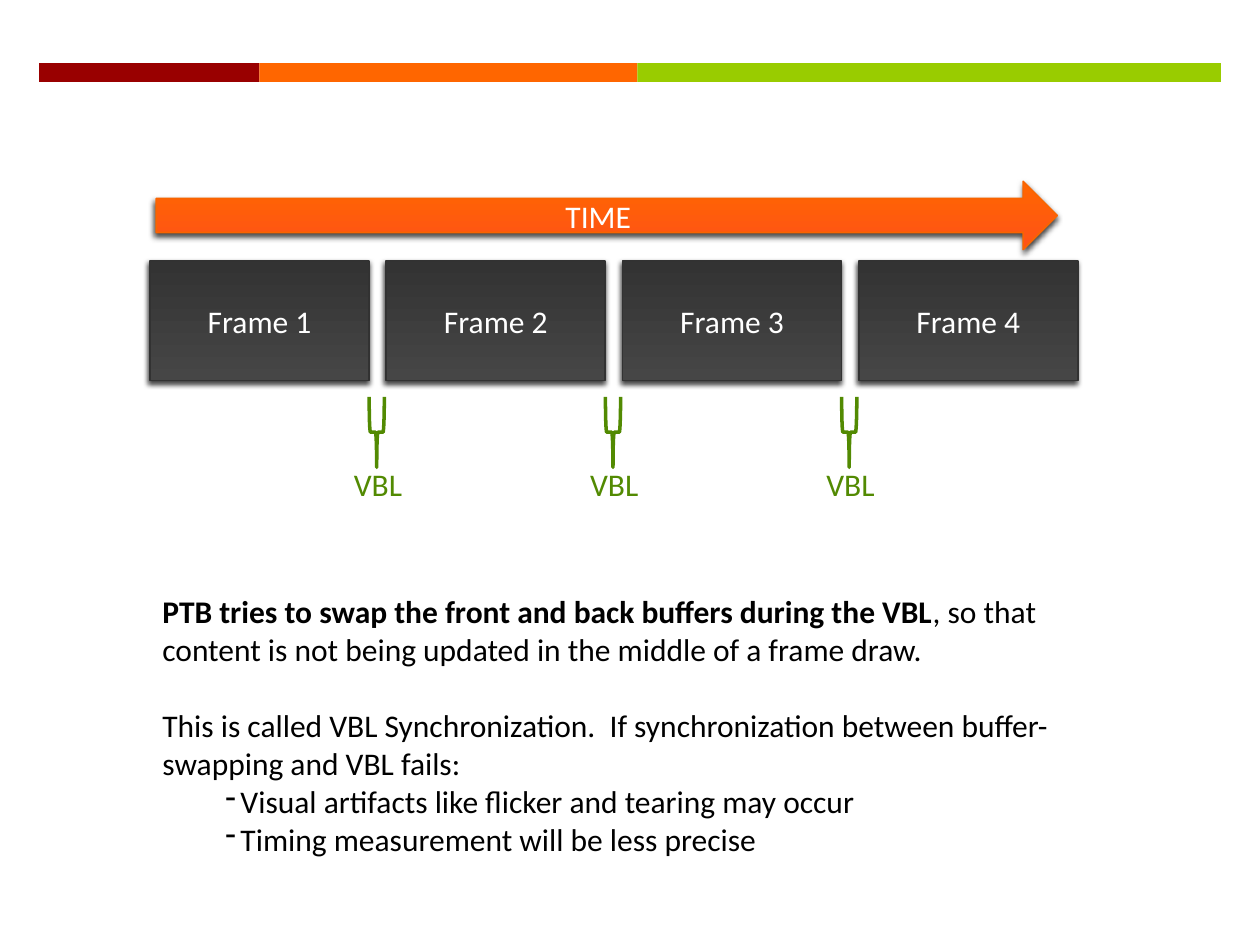
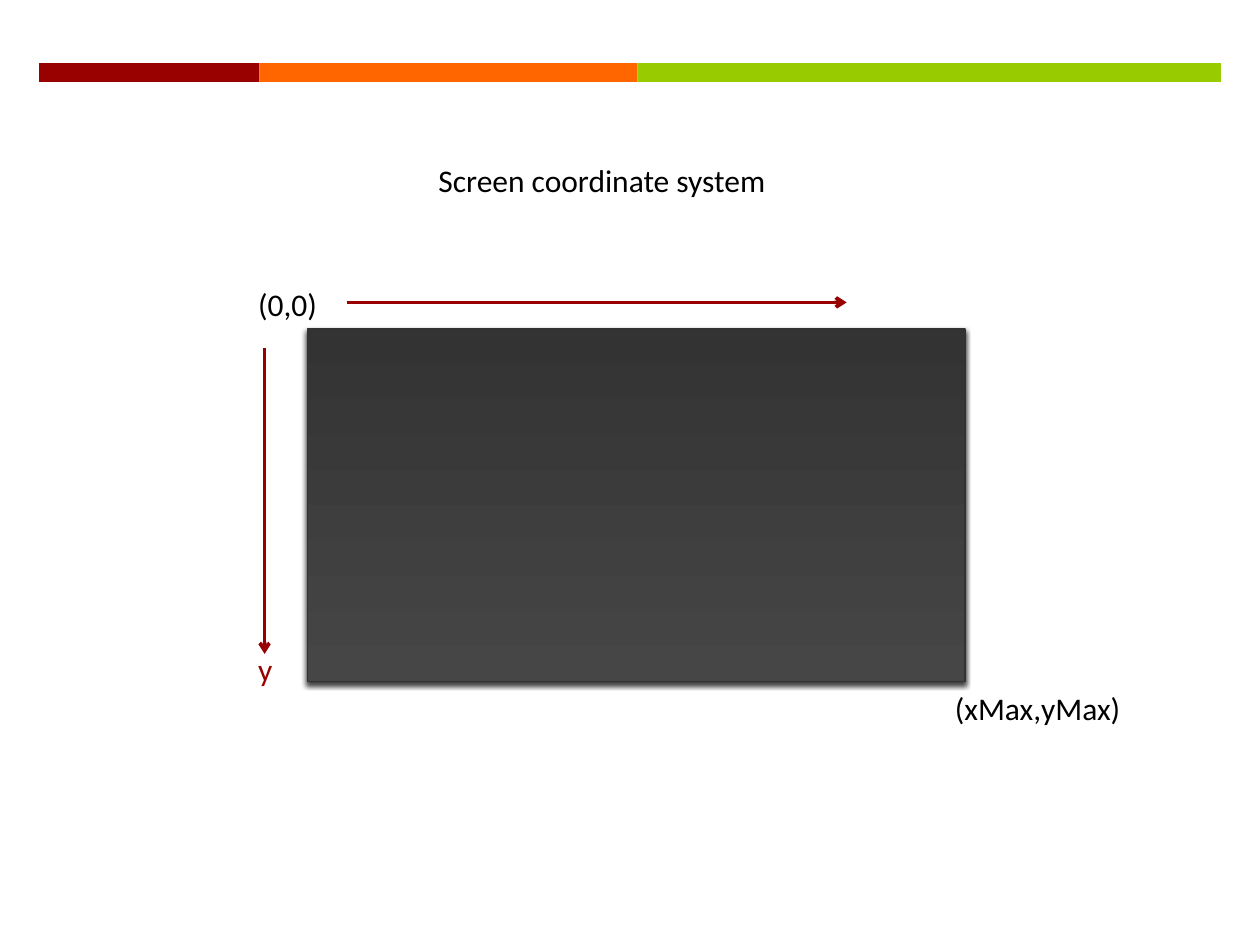
from dataclasses import dataclass

import pptx
import pptx.dml.color
import pptx.enum.shapes
import pptx.enum.text
import pptx.oxml
import pptx.oxml.ns
import pptx.util

Inches = pptx.util.Inches
Shape = pptx.enum.shapes.MSO_SHAPE
Align = pptx.enum.text.PP_ALIGN
Anchor = pptx.enum.text.MSO_ANCHOR


@dataclass(frozen=True)
class Theme:
    font: str = "Calibri"
    size: int = 18
    ink: str = "000000"
    light: str = "FFFFFF"
    red: str = "990000"
    orange: str = "FF6600"
    lime: str = "99CC00"
    green: str = "528A02"
    outline: float = 1
    stroke: float = 2


@dataclass(frozen=True)
class Box:
    left: float
    top: float
    width: float
    height: float

    def emu(self) -> tuple:
        return tuple(Inches(v) for v in (self.left, self.top, self.width, self.height))


@dataclass(frozen=True)
class Finish:
    """Gradient from bottom to top, and the outline colour."""
    bottom: str
    top: str
    line: str


@dataclass(frozen=True)
class Band:
    left: float
    width: float
    color: str


THEME = Theme()
SCREEN = Finish("464646", "333333", "323232")
TIMELINE = Finish("FF5217", "FF6600", "F96400")
BANDS = (
    Band(0.31, 1.75, THEME.red),
    Band(2.06, 3, THEME.orange),
    Band(5.06, 4.63, THEME.lime),
)
FRAME_COUNT = 4
FRAME_PITCH = 1.875


def rgb(color: str):
    return pptx.dml.color.RGBColor.from_string(color)


def xml(markup: str):
    return pptx.oxml.parse_xml(
        markup.replace(" ", f" {pptx.oxml.ns.nsdecls('a')} ", 1))


# Text
def write(paragraph, text: str, *, color: str = THEME.ink, size: float = THEME.size,
          bold: bool = False, align=Align.LEFT) -> None:
    """Add one formatted run to a paragraph."""
    paragraph.alignment = align
    run = paragraph.add_run()
    run.text = text
    run.font.name = THEME.font
    run.font.size = pptx.util.Pt(size)
    run.font.bold = bold
    run.font.color.rgb = rgb(color)


def add_text_box(slide, box: Box, wrap: bool = True):
    frame = slide.shapes.add_textbox(*box.emu()).text_frame
    frame.word_wrap = wrap
    return frame


def add_label(slide, text: str, box: Box, color: str = THEME.ink, wrap: bool = True) -> None:
    write(add_text_box(slide, box, wrap).paragraphs[0], text, color=color)


def set_title(slide, text: str, box: Box) -> None:
    title = slide.shapes.title
    title.left, title.top, title.width, title.height = box.emu()
    frame = title.text_frame
    frame.word_wrap = True
    frame.auto_size = pptx.enum.text.MSO_AUTO_SIZE.NONE
    frame.vertical_anchor = Anchor.TOP
    write(frame.paragraphs[0], text)


def add_dash_bullet(paragraph) -> None:
    properties = paragraph._p.get_or_add_pPr()
    properties.set("marL", str(Inches(0.62)))
    properties.set("indent", str(Inches(-0.12)))
    properties.append(xml('<a:buChar char="-"/>'))


# Shapes
def add_bands(slide) -> None:
    for band in BANDS:
        stripe = slide.shapes.add_shape(
            Shape.RECTANGLE, *Box(band.left, 0.5, band.width, 0.15).emu())
        stripe.shadow.inherit = False
        stripe.fill.solid()
        stripe.fill.fore_color.rgb = rgb(band.color)
        stripe.line.fill.background()


def add_raised(slide, kind, box: Box, finish: Finish, text: str = "") -> None:
    """Add a shape with a gradient, a thin outline and a soft shadow."""
    raised = slide.shapes.add_shape(kind, *box.emu())
    raised.fill.gradient()
    raised.fill.gradient_angle = 90
    for stop, color in zip(raised.fill.gradient_stops, (finish.bottom, finish.top)):
        stop.color.rgb = rgb(color)
    raised.line.color.rgb = rgb(finish.line)
    raised.line.width = pptx.util.Pt(THEME.outline)
    raised.shadow.inherit = False
    effects = raised._element.spPr.find(pptx.oxml.ns.qn("a:effectLst"))
    effects.append(xml(
        f'<a:outerShdw blurRad="{pptx.util.Pt(3)}" dist="{pptx.util.Pt(2)}"'
        f' dir="{110 * 60000}" rotWithShape="0">'
        '<a:srgbClr val="000000"><a:alpha val="75000"/></a:srgbClr></a:outerShdw>'))
    if text:
        raised.text_frame.vertical_anchor = Anchor.MIDDLE
        write(raised.text_frame.paragraphs[0], text, color=THEME.light, align=Align.CENTER)


def add_vbl_marker(slide, left: float) -> None:
    brace = slide.shapes.add_shape(Shape.LEFT_BRACE, *Box(left, 3.37, 0.56, 0.12).emu())
    brace.rotation = 270
    brace.shadow.inherit = False
    brace.fill.background()
    brace.line.color.rgb = rgb(THEME.green)
    brace.line.width = pptx.util.Pt(THEME.stroke)
    add_label(slide, "VBL", Box(left, 3.64, 0.59, 0.4), THEME.green, wrap=False)


def add_axis(slide, start: tuple[float, float], end: tuple[float, float]) -> None:
    axis = slide.shapes.add_connector(
        pptx.enum.shapes.MSO_CONNECTOR.STRAIGHT, *(Inches(v) for v in start + end))
    axis.line.color.rgb = rgb(THEME.red)
    axis.line.width = pptx.util.Pt(THEME.stroke)
    axis.line._get_or_add_ln().append(xml('<a:tailEnd type="arrow"/>'))
    axis._element.spPr.append(xml("<a:effectLst />"))


# Slides
def build_synchronization(slide) -> None:
    add_bands(slide)

    # Frames, with a blanking interval in each gap
    for number in range(FRAME_COUNT):
        add_raised(slide, Shape.RECTANGLE,
                   Box(1.19 + number * FRAME_PITCH, 2.07, 1.74, 0.95),
                   SCREEN, f"Frame {number + 1}")
    for gap in range(FRAME_COUNT - 1):
        add_vbl_marker(slide, 2.71 + gap * FRAME_PITCH)
    add_raised(slide, Shape.RIGHT_ARROW, Box(1.24, 1.44, 7.15, 0.54), TIMELINE, "TIME")

    # Explanation
    explanation = add_text_box(slide, Box(1.19, 4.65, 7.62, 2.22))
    swap = explanation.paragraphs[0]
    write(swap, "PTB tries to swap the front and back buffers during the VBL", bold=True)
    write(swap, ", so that content is not being updated in the middle of a frame draw.")
    failure = explanation.add_paragraph()
    failure.space_before = pptx.util.Pt(22)
    write(failure, "This is called VBL Synchronization.  If synchronization between "
                   "buffer-swapping and VBL fails:")
    for effect in ("Visual artifacts like flicker and tearing may occur",
                   "Timing measurement will be less precise"):
        consequence = explanation.add_paragraph()
        write(consequence, effect)
        add_dash_bullet(consequence)


def build_coordinates(slide) -> None:
    add_bands(slide)
    set_title(slide, "Screen coordinate system", Box(3.38, 1.23, 3.17, 0.4))

    # Screen and its corners
    add_raised(slide, Shape.RECTANGLE, Box(2.44, 2.61, 5.22, 2.8), SCREEN)
    add_label(slide, "(xMax,yMax)", Box(7.48, 5.42, 1.82, 0.4))
    add_label(slide, "(0,0)", Box(1.95, 2.21, 0.81, 0.4))

    # Axes
    add_axis(slide, (2.75, 2.4), (6.72, 2.4))
    add_axis(slide, (2.1, 2.76), (2.1, 5.19))
    add_label(slide, "y", Box(1.95, 5.11, 0.46, 0.4), THEME.red)


def main() -> None:
    deck = pptx.Presentation()
    deck.slide_width, deck.slide_height = Inches(10), Inches(7.5)
    title_only, blank = deck.slide_layouts[5], deck.slide_layouts[6]
    build_synchronization(deck.slides.add_slide(blank))
    build_coordinates(deck.slides.add_slide(title_only))
    deck.save("out.pptx")


if __name__ == "__main__":
    main()
